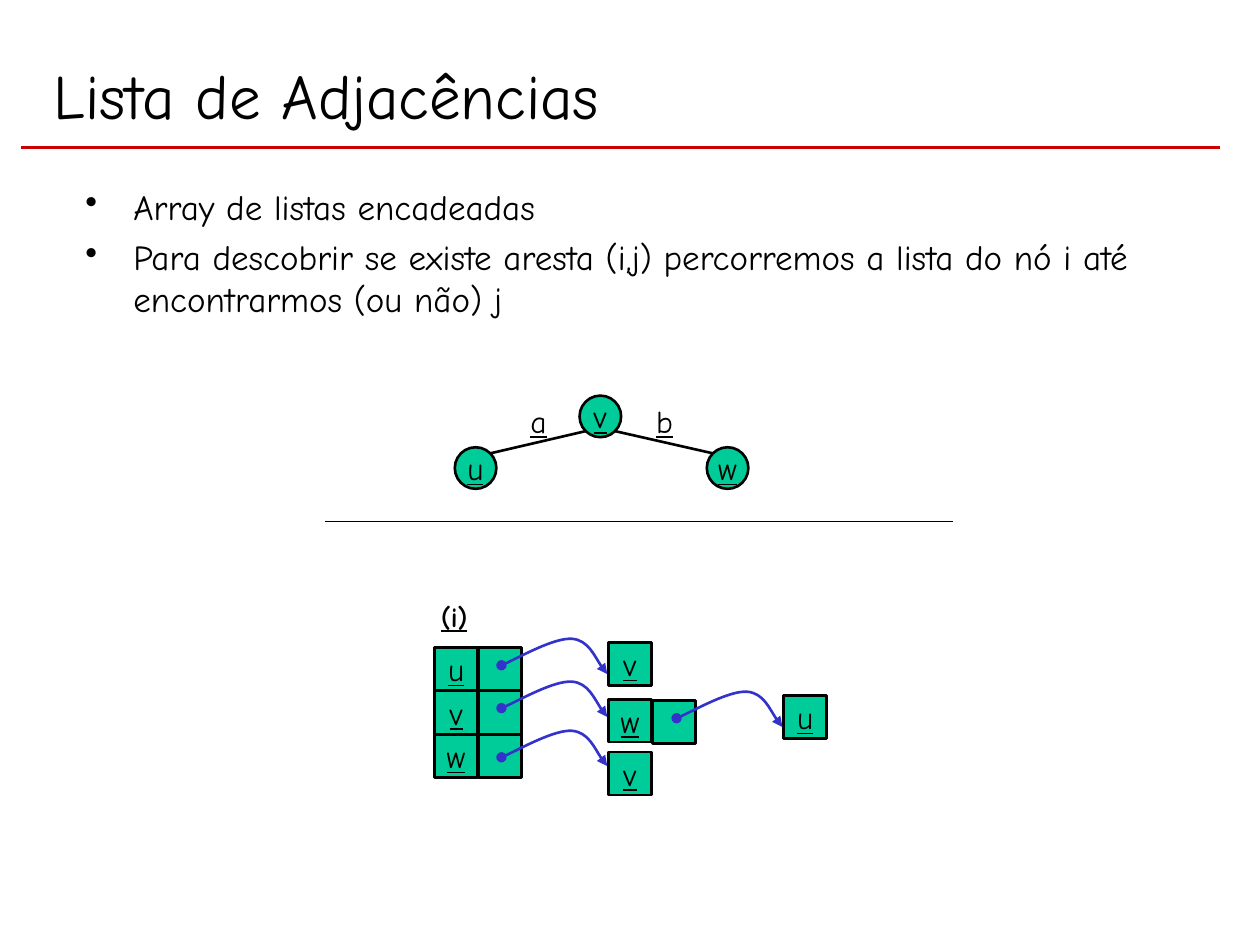
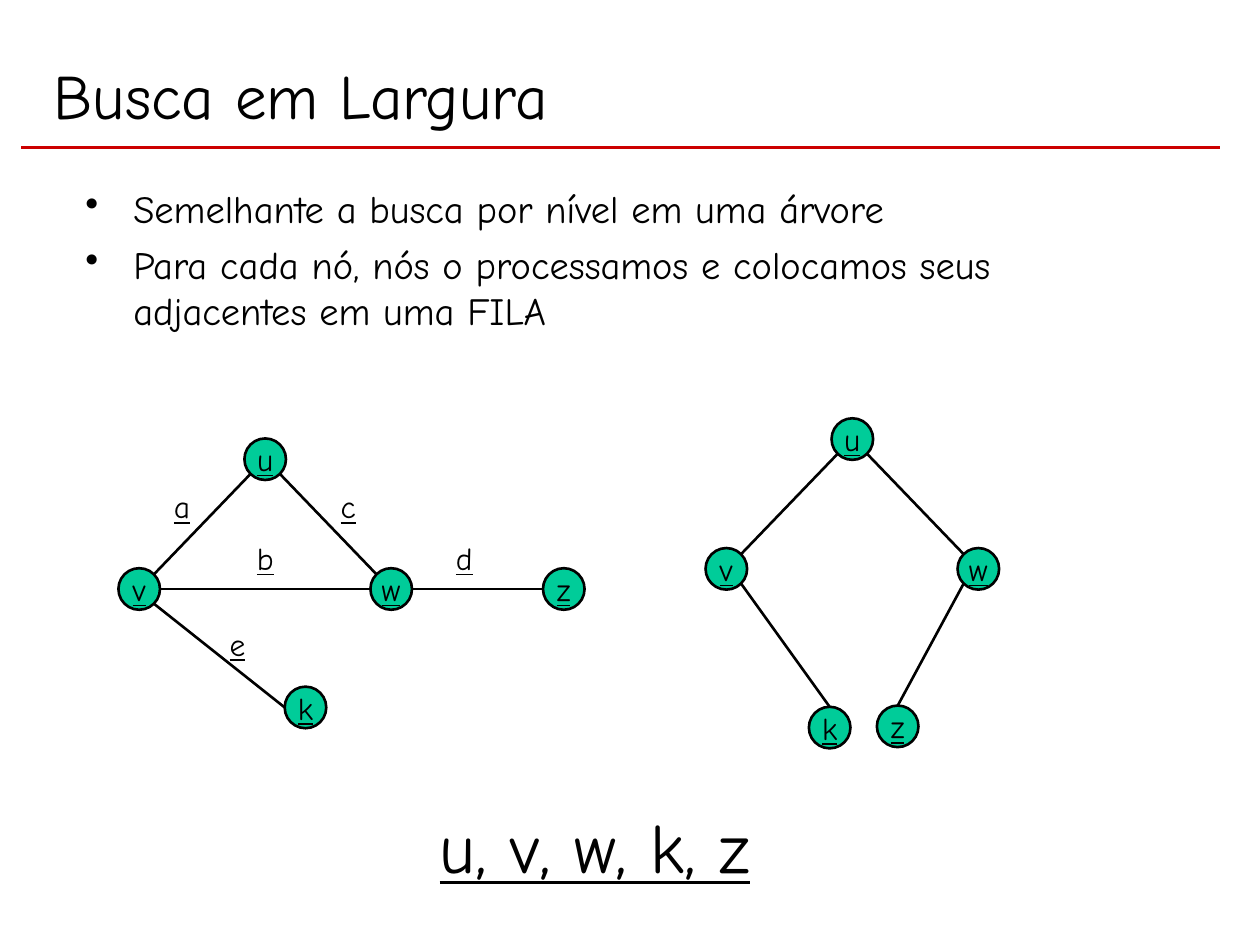
"""Builds two slides on adjacency lists and breadth-first search."""
import math

import pptx
import pptx.dml.color
import pptx.enum.shapes
import pptx.enum.text
import pptx.oxml
import pptx.oxml.ns
import pptx.util
from pptx.util import Inches

COLORS = {"ink": "000000", "rule": "CC0000", "node": "00CC99", "pointer": "3333CC", "paper": "FFFFFF"}
FONT = "Comic Neue"
NODE_SIZE = 0.33
CELL_SIZE = 0.34
SITE_ANGLES = {"E": 0, "SE": 45, "S": 90, "SW": 135, "W": 180, "NW": 225, "N": 270, "NE": 315}
POINTER_CURVE = [(0.10, -0.04), (0.42, -0.22), (0.56, -0.21), (0.69, -0.20), (0.78, 0.01), (0.84, 0.07)]
ALIGN = pptx.enum.text.PP_ALIGN
ANCHOR = pptx.enum.text.MSO_ANCHOR
SHAPES = pptx.enum.shapes.MSO_SHAPE


def rgb(name):
    return pptx.dml.color.RGBColor.from_string(COLORS[name])


def add_child(parent, tag, **attributes):
    child = pptx.oxml.ns.qn(tag)
    element = parent.makeelement(child, attributes)
    parent.append(element)
    return element


def write(shape, text, size=18, bold=False, underline=True, align=ALIGN.CENTER,
          anchor=ANCHOR.MIDDLE, wrap=False, bullets=False):
    frame = shape.text_frame
    frame.word_wrap = wrap
    frame.vertical_anchor = anchor
    frame.text = text
    for paragraph in frame.paragraphs:
        paragraph.alignment = align
        for run in paragraph.runs:
            run.font.name = FONT
            run.font.size = pptx.util.Pt(size)
            run.font.bold = bold
            run.font.underline = underline
            run.font.color.rgb = rgb("ink")
        if bullets:
            paragraph.space_before = pptx.util.Pt(size / 4)
            properties = paragraph._p.get_or_add_pPr()
            properties.set("marL", str(Inches(0.38)))
            properties.set("indent", str(Inches(-0.38)))
            add_child(properties, "a:buChar", char="•")


class Deck:
    def __init__(self):
        self.presentation = pptx.Presentation()
        self.presentation.slide_width = Inches(10)
        self.presentation.slide_height = Inches(7.5)
        self.slide = None

    def new_slide(self, title, bullets, size):
        self.slide = self.presentation.slides.add_slide(self.presentation.slide_layouts[6])
        self.slide.background.fill.solid()
        self.slide.background.fill.fore_color.rgb = rgb("paper")
        self.line((0.17, 1.17), (9.68, 1.17), color="rule")
        self.text_box(0.33, 0.25, 9, 1, title, size=36, underline=False, align=ALIGN.LEFT, wrap=True)
        self.text_box(0.58, 1.42, 8.5, 5.08, "\n".join(bullets), size=size, underline=False,
                      align=ALIGN.LEFT, anchor=ANCHOR.TOP, wrap=True, bullets=True)

    def text_box(self, left, top, width, height, text, **style):
        shape = self.slide.shapes.add_textbox(Inches(left), Inches(top), Inches(width), Inches(height))
        write(shape, text, **style)
        return shape

    def label(self, left, top, text, width=NODE_SIZE, height=0.4, **style):
        shape = self.text_box(left, top, width, height, text, anchor=ANCHOR.TOP, **style)
        shape.text_frame.auto_size = pptx.enum.text.MSO_AUTO_SIZE.SHAPE_TO_FIT_TEXT

    def line(self, start, end, color="ink", weight=1.5):
        connector = self.slide.shapes.add_connector(
            pptx.enum.shapes.MSO_CONNECTOR.STRAIGHT, *(Inches(value) for value in start + end))
        connector.line.color.rgb = rgb(color)
        connector.line.width = pptx.util.Pt(weight)
        add_child(connector._element.spPr, "a:effectLst")

    def box(self, kind, left, top, size, text):
        shape = self.slide.shapes.add_shape(kind, Inches(left), Inches(top), Inches(size), Inches(size))
        shape.shadow.inherit = False
        shape.fill.solid()
        shape.fill.fore_color.rgb = rgb("node")
        shape.line.color.rgb = rgb("ink")
        shape.line.width = pptx.util.Pt(1.5)
        if text:
            write(shape, text)

    def cell(self, left, top, text=""):
        self.box(SHAPES.RECTANGLE, left, top, CELL_SIZE, text)

    def graph(self, nodes, edges, labels=()):
        def site(name, direction):
            angle = math.radians(SITE_ANGLES[direction])
            radius = NODE_SIZE / 2
            left, top = nodes[name]
            return left + radius * (1 + math.cos(angle)), top + radius * (1 + math.sin(angle))

        for name, (left, top) in nodes.items():
            self.box(SHAPES.OVAL, left, top, NODE_SIZE, name)
        for start, start_side, end, end_side in edges:
            self.line(site(start, start_side), site(end, end_side))
        for text, left, top in labels:
            self.label(left, top, text)

    def pointer(self, left, top):
        points = [(Inches(left + x), Inches(top + y)) for x, y in POINTER_CURVE]
        builder = self.slide.shapes.build_freeform(Inches(left), Inches(top))
        builder.add_line_segments(points, close=False)
        shape = builder.convert_to_shape()
        shape.shadow.inherit = False
        shape.fill.background()
        shape.line.color.rgb = rgb("pointer")
        shape.line.width = pptx.util.Pt(1.5)
        outline = next(shape._element.iter(pptx.oxml.ns.qn("a:path")))
        segments = outline.findall(pptx.oxml.ns.qn("a:lnTo"))
        for first in range(0, len(segments), 3):
            curve = add_child(outline, "a:cubicBezTo")
            for segment in segments[first:first + 3]:
                curve.append(segment[0])
                outline.remove(segment)
        stroke = shape._element.spPr.find(pptx.oxml.ns.qn("a:ln"))
        add_child(stroke, "a:headEnd", type="oval")
        add_child(stroke, "a:tailEnd", type="triangle")


def adjacency_list(deck):
    deck.new_slide("Lista de Adjacências", [
        "Array de listas encadeadas",
        "Para descobrir se existe aresta (i,j) percorremos a lista do nó i até encontrarmos (ou não) j",
    ], size=20)
    deck.graph({"u": (3.61, 3.55), "v": (4.6, 3.14), "w": (5.61, 3.55)},
               [("v", "SE", "w", "NW"), ("v", "SW", "u", "NE")],
               [("a", 4.11, 3.14), ("b", 5.11, 3.14)])
    deck.line((2.58, 4.14), (7.56, 4.14), weight=0.75)
    deck.label(3.4, 4.71, "(i)", width=0.41, height=0.37, size=16, bold=True)
    for row, name in enumerate("uvw"):
        top = 5.14 + row * 0.345
        deck.cell(3.45, top, name)
        deck.cell(3.8, top)
    for left, top, name in [(4.83, 5.1, "v"), (4.83, 5.55, "w"), (5.18, 5.56, ""),
                            (4.83, 5.97, "v"), (6.22, 5.52, "u")]:
        deck.cell(left, top, name)
    for start in [(3.98, 5.28), (3.98, 5.62), (3.98, 6.01), (5.37, 5.7)]:
        deck.pointer(*start)


def breadth_first_search(deck):
    deck.new_slide("Busca em Largura", [
        "Semelhante a busca por nível em uma árvore",
        "Para cada nó, nós o processamos e colocamos seus adjacentes em uma FILA",
    ], size=22)
    top_edges = [("u", "SE", "w", "NW"), ("u", "SW", "v", "NE")]
    deck.graph({"v": (0.94, 4.51), "u": (1.94, 3.48), "w": (2.94, 4.51), "z": (4.31, 4.51), "k": (2.26, 5.45)},
               top_edges + [("w", "W", "v", "E"), ("z", "W", "w", "E"), ("k", "W", "v", "SE")],
               [("a", 1.28, 3.82), ("c", 2.6, 3.82), ("b", 1.94, 4.23), ("d", 3.52, 4.23), ("e", 1.72, 4.91)])
    deck.graph({"v": (5.6, 4.35), "u": (6.6, 3.32), "w": (7.6, 4.35), "z": (6.96, 5.6), "k": (6.42, 5.61)},
               top_edges + [("z", "N", "w", "SW"), ("k", "N", "v", "SE")])
    deck.label(3.39, 6.33, "u, v, w, k, z", width=2.66, height=0.77, size=40)


def main():
    deck = Deck()
    adjacency_list(deck)
    breadth_first_search(deck)
    deck.presentation.save("out.pptx")


if __name__ == "__main__":
    main()
